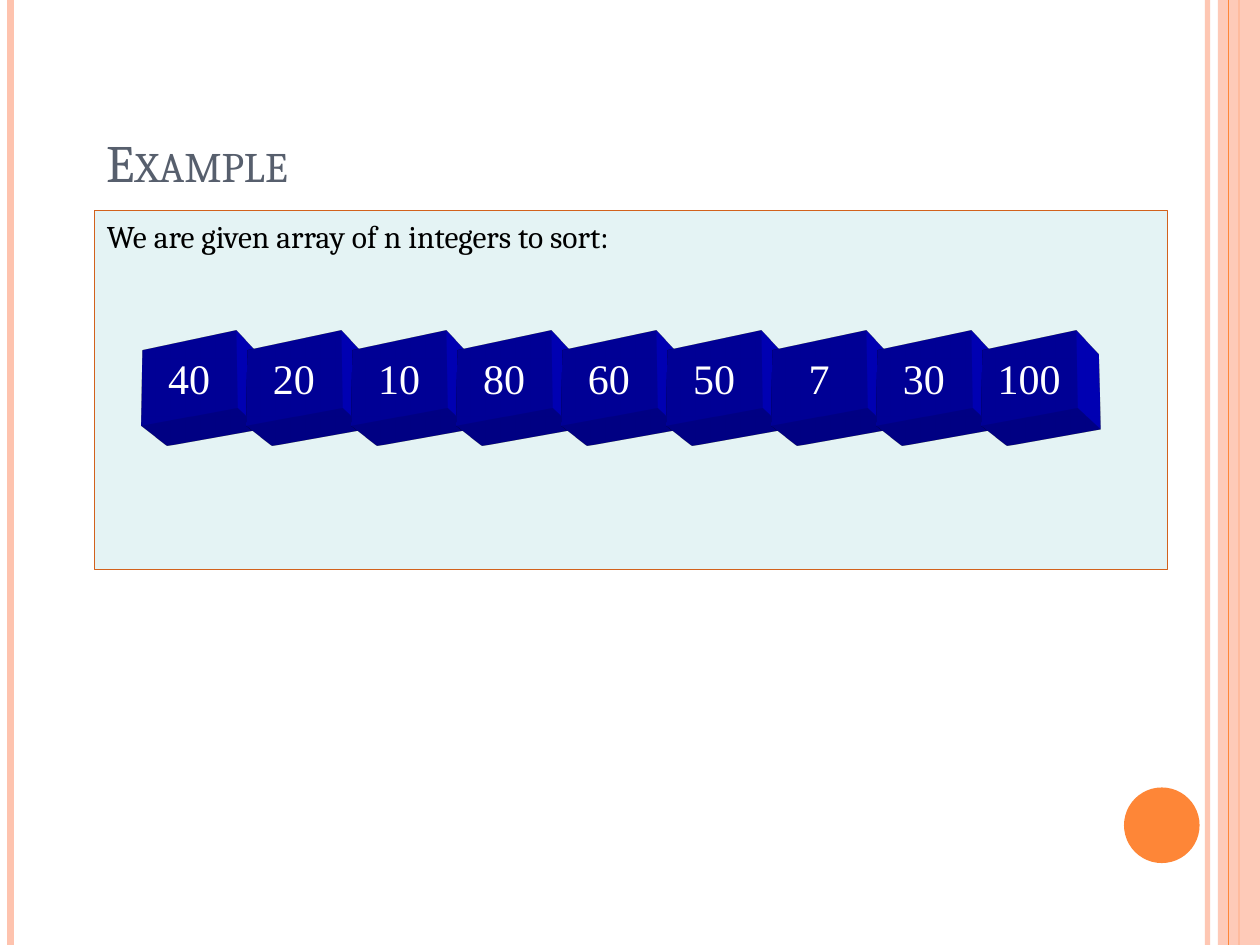
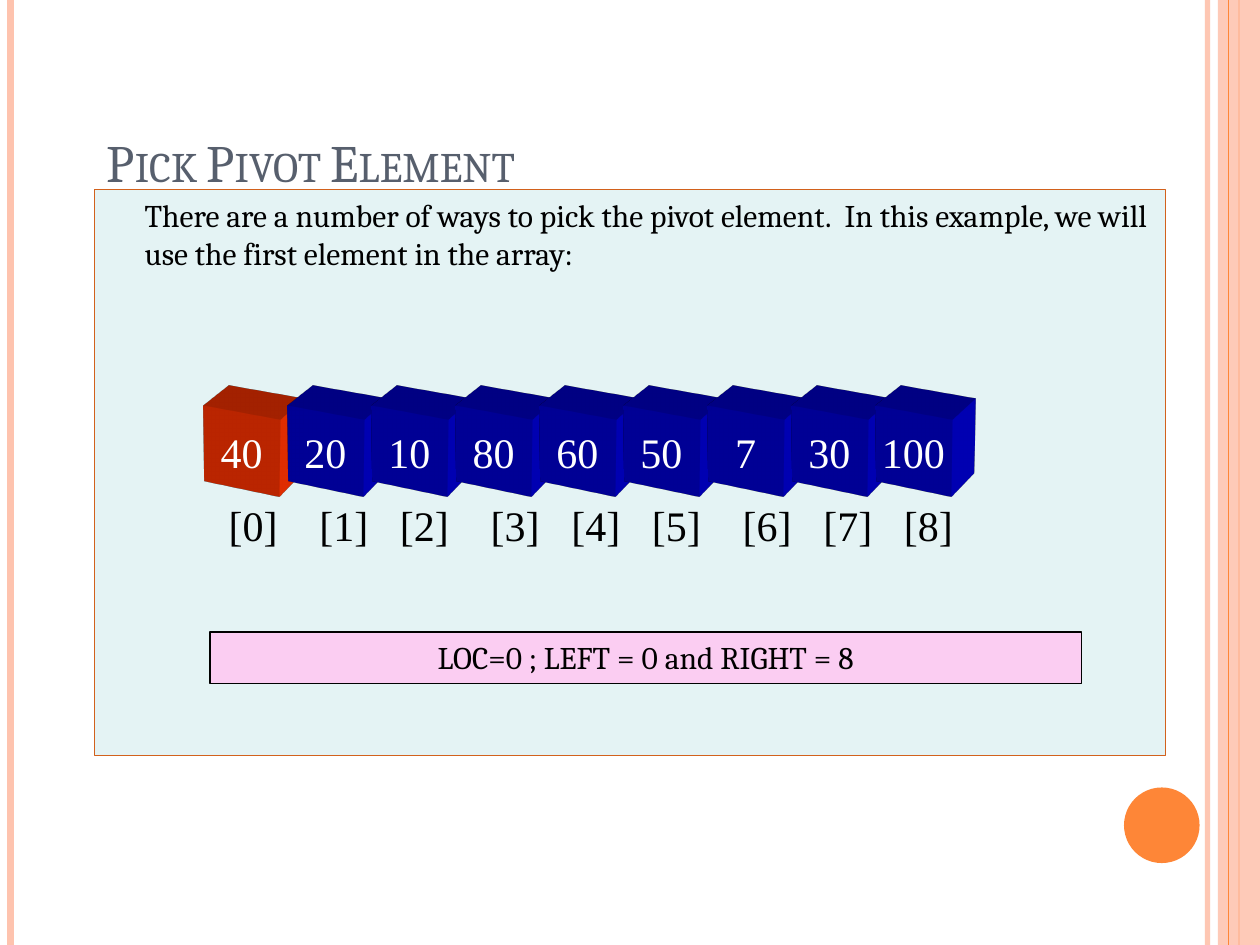
from collections import namedtuple
from dataclasses import dataclass

from lxml import etree
from pptx import Presentation
from pptx import util as u
from pptx.dml.color import RGBColor
from pptx.enum import shapes, text
from pptx.oxml import ns

COLUMNS, ROWS = 120, 90
UNIT = u.Inches(10) // COLUMNS
Box = namedtuple("Box", "left top width height")
Tilt = namedtuple("Tilt", "lat lon")


@dataclass(frozen=True)
class Theme:
    serif: str = "Cambria"
    roman: str = "Times New Roman"
    title_size: int = 30
    cube_size: int = 24
    body_size: int = 18
    title: str = "575F6D"
    ink: str = "000000"
    light: str = "FFFFFF"
    peach: str = "FEC3AE"
    orange: str = "FE8637"
    panel: str = "E4F3F4"
    panel_edge: str = "D2611C"
    note: str = "FBCDF2"
    blue: str = "0000CC"
    red: str = "FF3300"


THEME = Theme()
PAGE = Box(0, 0, COLUMNS, ROWS)
TITLE = Box(9, 4, 102, 15)
VALUES = (40, 20, 10, 80, 60, 50, 7, 30, 100)
WIDE_GAPS_BEFORE = (1, 3, 6)
SEEN_FROM_BELOW = Tilt(335, 25)
SEEN_FROM_ABOVE = Tilt(25, 25)
CUBE_DEPTH = 430200


def emu(box):
    return [round(length * UNIT) for length in box]


def within(box, left, top, width, height):
    return Box(box.left + left, box.top + top, width, height)


def assign(target, formats):
    for name, value in formats.items():
        setattr(target, name, value)


def add_xml(parent, tag, **attributes):
    return etree.SubElement(parent, ns.qn(f"a:{tag}"),
                            {name: str(value) for name, value in attributes.items()})


def set_alpha(part, percent):
    colour = next(part._element.spPr.iter(ns.qn("a:srgbClr")))
    add_xml(colour, "alpha", val=percent * 1000)


def paint(part, fill, edge=None):
    part.shadow.inherit = False
    part.fill.solid()
    part.fill.fore_color.rgb = RGBColor.from_string(fill)
    if edge:
        part.line.color.rgb = RGBColor.from_string(edge)
        part.line.width = u.Pt(.75)
    else:
        part.line.fill.background()


def write(part, words, font, size, colour, align=text.PP_ALIGN.LEFT, **frame):
    assign(part.text_frame, {"word_wrap": True, **frame})
    paragraph = part.text_frame.paragraphs[0]
    paragraph.alignment = align
    run = paragraph.add_run()
    run.text = words
    assign(run.font, {"name": font, "size": u.Pt(size)})
    run.font.color.rgb = RGBColor.from_string(colour)
    return run


def add_block(slide, box, fill, edge=None, kind=shapes.MSO_SHAPE.RECTANGLE):
    block = slide.shapes.add_shape(kind, *emu(box))
    paint(block, fill, edge)
    return block


def add_stripe(slide, box, column, colour, width, alpha=100):
    x = round((box.left + column) * UNIT)
    stripe = slide.shapes.add_connector(
        shapes.MSO_CONNECTOR.STRAIGHT, x, round(box.top * UNIT),
        x, round((box.top + box.height) * UNIT))
    stripe.line.color.rgb = RGBColor.from_string(colour)
    stripe.line.width = u.Pt(width)
    add_xml(stripe._element.spPr, "effectLst")
    if alpha < 100:
        set_alpha(stripe, alpha)


def add_frame(slide, box):
    add_stripe(slide, box, 115, THEME.peach, 3, 93)
    add_stripe(slide, box, 1, THEME.peach, 4.5)
    add_stripe(slide, box, 118, THEME.orange, 1.5)
    band = add_block(slide, within(box, 116, 0, 4, box.height), THEME.peach)
    set_alpha(band, 87)
    add_stripe(slide, box, 117, THEME.orange, .75)
    add_block(slide, within(box, 107.05, 75, 7.2, 7.2), THEME.orange,
              kind=shapes.MSO_SHAPE.OVAL)


def add_title(slide, box, words):
    title = slide.shapes.add_textbox(*emu(box))
    run = write(title, words, THEME.serif, THEME.title_size, THEME.title,
                vertical_anchor=text.MSO_ANCHOR.BOTTOM)
    run.font._element.set("cap", "small")


def add_panel(slide, box, words, indent=0):
    panel = add_block(slide, box, THEME.panel, THEME.panel_edge)
    write(panel, words, THEME.serif, THEME.body_size, THEME.ink,
          vertical_anchor=text.MSO_ANCHOR.TOP)
    properties = panel.text_frame.paragraphs[0]._p.get_or_add_pPr()
    properties.set("marL", str(u.Inches(indent)))


def extrude(block, tilt, colour):
    properties = block._element.spPr
    scene = add_xml(properties, "scene3d")
    camera = add_xml(scene, "camera", prst="legacyPerspectiveFront")
    add_xml(camera, "rot", lat=tilt.lat * 60000, lon=tilt.lon * 60000, rev=0)
    add_xml(scene, "lightRig", rig="legacyFlat3", dir="b")
    solid = add_xml(properties, "sp3d", extrusionH=CUBE_DEPTH,
                    prstMaterial="legacyMatte")
    for bevel in ("bevelT", "bevelB"):
        add_xml(solid, bevel, w=13500, h=13500, prst="angle")
    add_xml(add_xml(solid, "extrusionClr"), "srgbClr", val=colour)


def add_cube(slide, box, tilt, value, colour):
    cube = add_block(slide, box, colour)
    extrude(cube, tilt, colour)
    write(cube, str(value), THEME.roman, THEME.cube_size, THEME.light,
          text.PP_ALIGN.CENTER, word_wrap=False,
          vertical_anchor=text.MSO_ANCHOR.MIDDLE)


def add_array(slide, box, tilt, pivot=None):
    pitch = box.width / len(VALUES)
    for index, value in enumerate(VALUES):
        colour = THEME.red if index == pivot else THEME.blue
        cell = within(box, index * pitch, 0, pitch, box.height)
        add_cube(slide, cell, tilt, value, colour)


def add_indexes(slide, box):
    indexes = slide.shapes.add_textbox(*emu(box))
    properties = indexes.text_frame.paragraphs[0]._p.get_or_add_pPr()
    stops = add_xml(properties, "tabLst")
    for index in range(1, len(VALUES)):
        wide_gaps = sum(index >= first for first in WIDE_GAPS_BEFORE)
        stop = u.Inches(index * .64 + wide_gaps * .08)
        add_xml(stops, "tab", pos=stop, algn="l")
    labels = "\t".join(f"[{index}]" for index in range(len(VALUES)))
    write(indexes, labels, THEME.roman, THEME.cube_size, THEME.ink)


def add_note(slide, box, words):
    note = add_block(slide, box, THEME.note, THEME.ink)
    write(note, words, THEME.serif, THEME.body_size, THEME.ink,
          text.PP_ALIGN.CENTER, vertical_anchor=text.MSO_ANCHOR.TOP)


def start_slide(deck, title):
    slide = deck.slides.add_slide(deck.slide_layouts[6])
    add_frame(slide, PAGE)
    add_title(slide, TITLE, title)
    return slide


def build_example(deck):
    slide = start_slide(deck, "Example")
    panel = Box(9, 20.05, 102.2, 34.2)
    add_panel(slide, panel, "We are given array of n integers to sort:")
    add_array(slide, within(panel, 4, 11.95, 90, 8), SEEN_FROM_BELOW)


def build_pivot(deck):
    slide = start_slide(deck, "Pick Pivot Element")
    panel = Box(9, 18.05, 102, 53.9)
    add_panel(slide, panel,
              "There are a number of ways to pick the pivot element.  "
              "In this example, we will use the first element in the array:",
              indent=.3)
    add_array(slide, within(panel, 10, 20.95, 72, 8), SEEN_FROM_ABOVE, pivot=0)
    add_note(slide, within(panel, 11, 42.15, 83, 4.9),
             "LOC=0 ; LEFT = 0 and RIGHT = 8")
    add_indexes(slide, within(panel, 11.6, 28.95, 72, 6))


def main():
    deck = Presentation()
    assign(deck, {"slide_width": COLUMNS * UNIT, "slide_height": ROWS * UNIT})
    build_example(deck)
    build_pivot(deck)
    deck.save("out.pptx")


if __name__ == "__main__":
    main()
